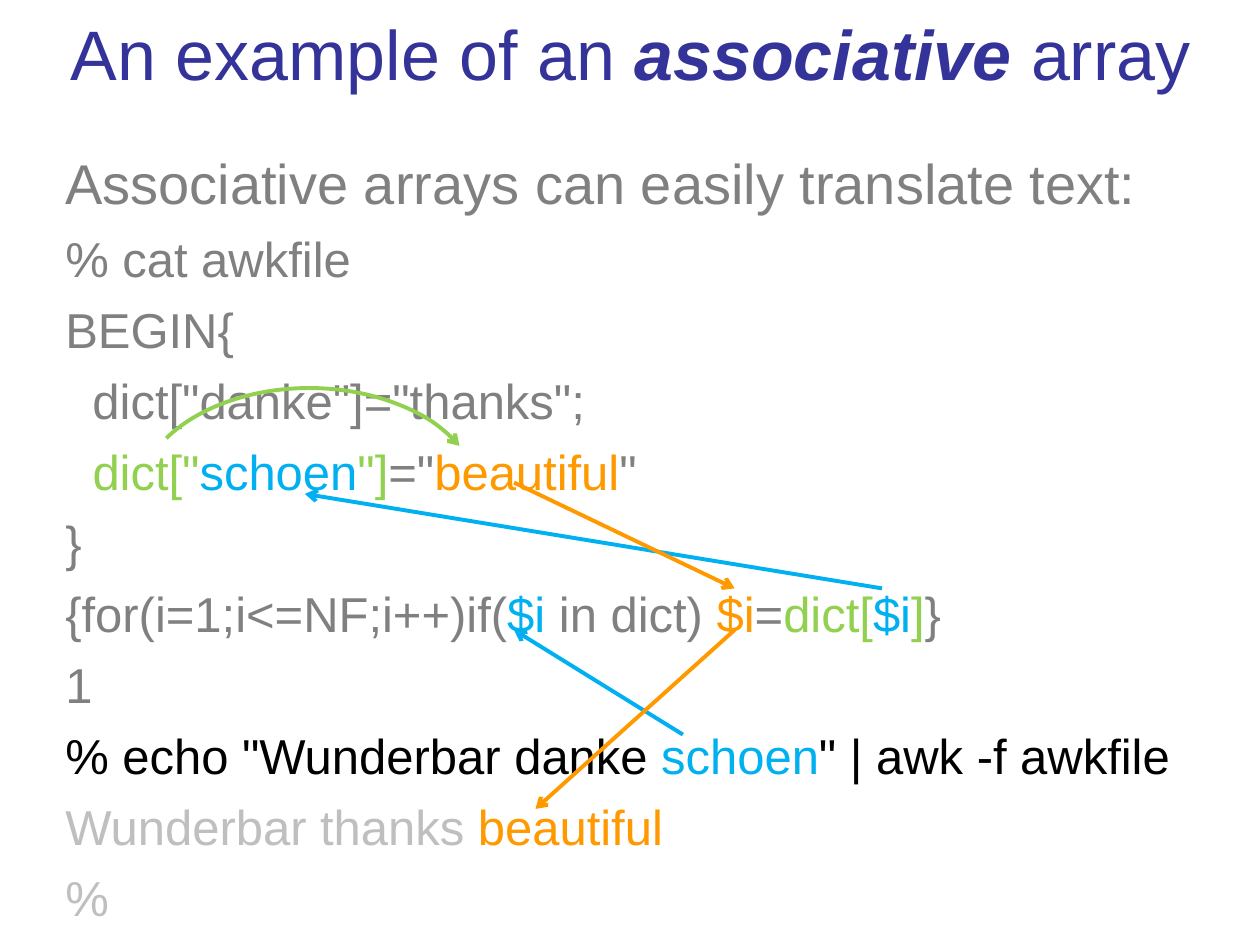
from pptx import Presentation
from pptx.dml.color import RGBColor
from pptx.enum.shapes import MSO_CONNECTOR, MSO_SHAPE
from pptx.enum.text import MSO_ANCHOR, PP_ALIGN
from pptx.oxml.ns import qn
from pptx.util import Inches, Pt
from lxml.etree import SubElement

NAVY = RGBColor(0x33, 0x33, 0x99)
GRAY = RGBColor(0x80, 0x80, 0x80)
SILVER = RGBColor(0xBF, 0xBF, 0xBF)
BLACK = RGBColor(0, 0, 0)
GREEN = RGBColor(0x92, 0xD0, 0x50)
BLUE = RGBColor(0x00, 0xB0, 0xF0)
ORANGE = RGBColor(0xFF, 0x99, 0x00)


def add_run(p, text, size, color, emphasis=False):
    r = p.add_run()
    r.text = text
    r.font.name = "Arial"
    r.font.size = Pt(size)
    r.font.color.rgb = color
    r.font.bold = r.font.italic = emphasis


def style_arrow(sp, color):
    sp.line.color.rgb = color
    sp.line.width = Pt(2.25)
    SubElement(sp.line._get_or_add_ln(), qn("a:tailEnd"), type="arrow")


prs = Presentation()
prs.slide_width, prs.slide_height = Inches(10), Inches(7.5)
s = prs.slides.add_slide(prs.slide_layouts[6])

# Title
tf = s.shapes.add_textbox(Inches(0.17), 0, Inches(9.67), Inches(0.83)).text_frame
tf.word_wrap = True
tf.vertical_anchor = MSO_ANCHOR.MIDDLE
p = tf.paragraphs[0]
p.alignment = PP_ALIGN.CENTER
add_run(p, "An example of an ", 40, NAVY)
add_run(p, "associative", 40, NAVY, emphasis=True)
add_run(p, " array", 40, NAVY)

# Introduction and code listing
code_lines = [
    [("% cat awkfile", GRAY)],
    [("BEGIN{", GRAY)],
    [('  dict["danke"]="thanks";', GRAY)],
    [("  ", GRAY), ('dict["', GREEN), ("schoen", BLUE), ('"]', GREEN),
     ('="', GRAY), ("beautiful", ORANGE), ('"', GRAY)],
    [("}", GRAY)],
    [("{for(i=1;i<=NF;i++)if(", GRAY), ("$i ", BLUE), ("in dict) ", GRAY),
     ("$i", ORANGE), ("=", GRAY), ("dict[", GREEN), ("$i", BLUE),
     ("]", GREEN), ("}", GRAY)],
    [("1", GRAY)],
    [('% echo "Wunderbar danke ', BLACK), ("schoen", BLUE),
     ('" | awk -f awkfile', BLACK)],
    [("Wunderbar thanks ", SILVER), ("beautiful", ORANGE)],
    [("%", SILVER)],
]
tf = s.shapes.add_textbox(Inches(0.42), Inches(1.13), Inches(9.25), Inches(6.2)).text_frame
tf.word_wrap = True
add_run(tf.paragraphs[0], "Associative arrays can easily translate text:", 32, GRAY)
for line in code_lines:
    p = tf.add_paragraph()
    p.space_before = Pt(7)
    pPr = p._p.get_or_add_pPr()
    pPr.set("marL", str(Inches(0.38)))
    pPr.set("indent", str(-Inches(0.38)))
    for text, color in line:
        add_run(p, text, 28, color)

# Blue lookup arrows
arrows = [
    (5.42, 5.83, 4.08, 5, BLUE),
    (7, 4.67, 2.42, 3.92, BLUE),
]
# Orange result arrows
arrows += [
    (4.08, 3.83, 5.83, 4.67, ORANGE),
    (5.83, 5, 4.25, 6.42, ORANGE),
]
for x1, y1, x2, y2, color in arrows:
    sp = s.shapes.add_connector(MSO_CONNECTOR.STRAIGHT, Inches(x1), Inches(y1),
                                Inches(x2), Inches(y2))
    style_arrow(sp, color)
    SubElement(sp._element.spPr, qn("a:effectLst"))

# Green arc from key to value
sp = s.shapes.add_shape(MSO_SHAPE.ARC, Inches(1.08), Inches(3.08), Inches(2.75), Inches(1.83))
sp.adjustments[0] = 122.68
sp.adjustments[1] = 203.44
sp.fill.background()
style_arrow(sp, GREEN)
sp.shadow.inherit = False

prs.save("out.pptx")
